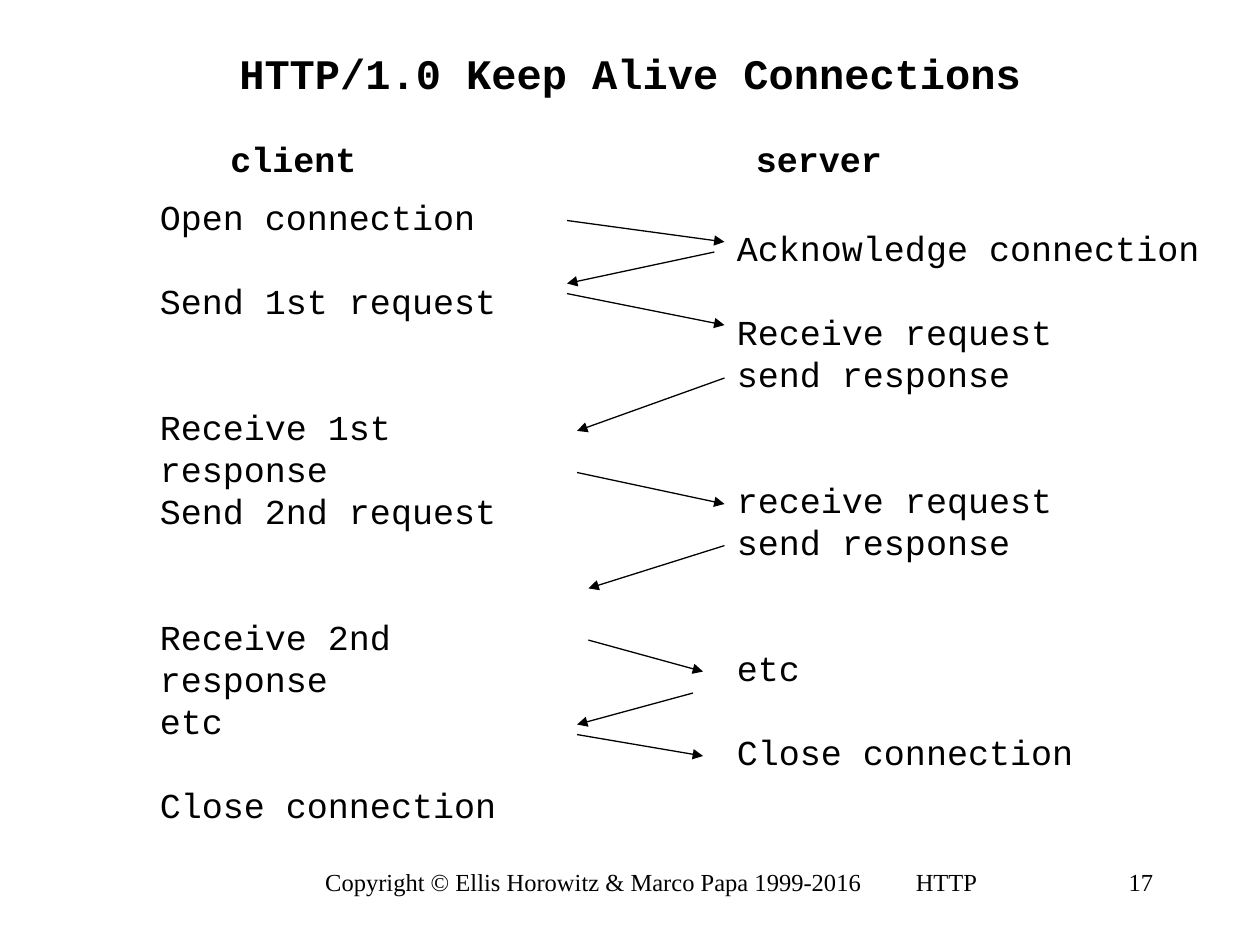
"""Build the HTTP/1.0 keep-alive connection sequence slide."""
from dataclasses import dataclass

from lxml import etree
from pptx import Presentation
from pptx.dml.color import RGBColor
from pptx.enum import shapes, text
from pptx.oxml import ns
from pptx.util import Inches, Pt

BLACK = RGBColor(0x00, 0x00, 0x00)
MONO = "Courier New"
SERIF = "Times New Roman"
LINE_FACTOR = 1.2


@dataclass(frozen=True)
class Label:
    wording: str
    left: float
    top: float
    width: float
    height: float
    size: int
    font: str = MONO
    bold: bool = False
    align: text.PP_ALIGN = text.PP_ALIGN.LEFT
    anchor: text.MSO_ANCHOR = text.MSO_ANCHOR.TOP


@dataclass(frozen=True)
class Step:
    wording: str
    blank_lines: int = 0


@dataclass(frozen=True)
class Message:
    start: tuple[float, float]
    end: tuple[float, float]


LABELS = [
    Label("HTTP", 7.17, 6.83, 0.8, 0.34, 14, SERIF),
    Label("Copyright © Ellis Horowitz & Marco Papa 1999-2016",
          2.25, 6.83, 4.92, 0.5, 14, SERIF, align=text.PP_ALIGN.CENTER),
    Label("17", 8.67, 6.83, 0.58, 0.5, 14, SERIF, align=text.PP_ALIGN.RIGHT),
    Label("HTTP/1.0 Keep Alive Connections", 0.75, 0.33, 8.5, 0.5, 24, bold=True,
          align=text.PP_ALIGN.CENTER, anchor=text.MSO_ANCHOR.MIDDLE),
    Label("client", 1.73, 1.04, 1.25, 0.44, 20, bold=True),
    Label("server", 5.9, 1.04, 1.25, 0.44, 20, bold=True),
]

CLIENT_STEPS = [
    Step("Open connection"),
    Step("Send 1st request", 1),
    Step("Receive 1st response", 2),
    Step("Send 2nd request"),
    Step("Receive 2nd response", 2),
    Step("etc"),
    Step("Close connection", 1),
]

SERVER_STEPS = [
    Step("Acknowledge connection"),
    Step("Receive request", 1),
    Step("send response"),
    Step("receive request", 2),
    Step("send response"),
    Step("etc", 2),
    Step("Close connection", 1),
]

MESSAGES = [
    Message((4.5, 1.75), (5.75, 1.92)),
    Message((5.67, 2), (4.5, 2.25)),
    Message((4.5, 2.33), (5.75, 2.58)),
    Message((5.75, 3), (4.58, 3.42)),
    Message((4.58, 3.75), (5.75, 4)),
    Message((5.75, 4.33), (4.67, 4.67)),
    Message((4.67, 5.08), (5.58, 5.33)),
    Message((5.5, 5.5), (4.58, 5.75)),
    Message((4.58, 5.83), (5.58, 6)),
]


def draw_label(slide, label: Label):
    """Draw one text box and return its text frame."""
    box = slide.shapes.add_textbox(Inches(label.left), Inches(label.top),
                                   Inches(label.width), Inches(label.height))
    frame = box.text_frame
    frame.word_wrap = True
    frame.vertical_anchor = label.anchor
    frame.text = label.wording
    for paragraph in frame.paragraphs:
        paragraph.alignment = label.align
        if label.font == MONO:
            paragraph.line_spacing = Pt(label.size * LINE_FACTOR)
        for run in paragraph.runs:
            run.font.name = label.font
            run.font.size = Pt(label.size)
            run.font.bold = label.bold
            run.font.color.rgb = BLACK
    return frame


def draw_steps(slide, steps: list[Step], left: float, top: float,
               width: float, height: float) -> None:
    """Draw one side's steps, leaving whole line gaps between groups."""
    wording = "\n".join(step.wording for step in steps)
    frame = draw_label(slide, Label(wording, left, top, width, height, 20))
    for step, paragraph in zip(steps, frame.paragraphs):
        paragraph.space_before = Pt(step.blank_lines * 20 * LINE_FACTOR)


def draw_message(slide, message: Message) -> None:
    """Draw one arrow between client and server."""
    ends = [Inches(value) for value in message.start + message.end]
    arrow = slide.shapes.add_connector(shapes.MSO_CONNECTOR.STRAIGHT, *ends)
    arrow.line.color.rgb = BLACK
    arrow.line.width = Pt(0.75)
    outline = arrow.line._get_or_add_ln()
    etree.SubElement(outline, ns.qn("a:tailEnd"), type="triangle")
    etree.SubElement(arrow._element.spPr, ns.qn("a:effectLst"))


def main() -> None:
    """Assemble and save the slide."""
    deck = Presentation()
    deck.slide_width, deck.slide_height = Inches(10), Inches(7.5)
    slide = deck.slides.add_slide(deck.slide_layouts[6])
    for label in LABELS:
        draw_label(slide, label)
    draw_steps(slide, CLIENT_STEPS, 1.17, 1.5, 3.5, 5.1)
    draw_steps(slide, SERVER_STEPS, 5.75, 1.75, 3.9, 4.44)
    for message in MESSAGES:
        draw_message(slide, message)
    deck.save("out.pptx")


if __name__ == "__main__":
    main()
